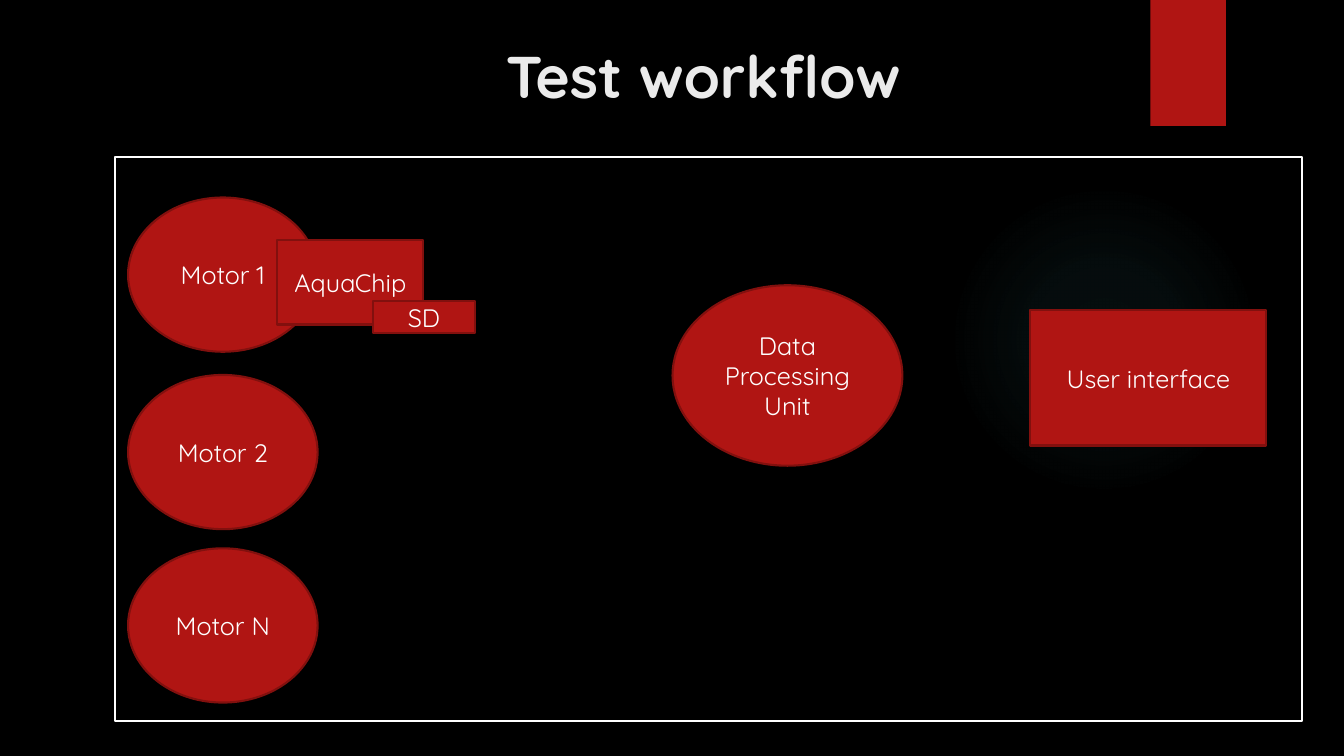
from dataclasses import dataclass

from pptx import Presentation
from pptx.dml.color import RGBColor as Rgb
from pptx.enum.shapes import MSO_SHAPE as Preset
from pptx.enum.text import MSO_ANCHOR as Anchor, PP_ALIGN as Align
from pptx.oxml import parse_xml
from pptx.oxml.ns import nsdecls, qn
from pptx.util import Inches, Pt


@dataclass(frozen=True)
class Theme:
    """Colours, type sizes and font of the slide."""
    background: str = "000000"
    accent: str = "B01513"
    edge: str = "82100E"
    frame: str = "FFFFFF"
    label: str = "FFFFFF"
    title: str = "EBEBEB"
    glow: str = "50B9C1"
    font: str = "Quicksand"
    title_size: float = 42
    label_size: float = 18
    line_width: float = 1.5


class WorkflowSlide:
    """Draws workflow elements on one slide in a given theme."""

    def __init__(self, deck, theme):
        """Add a blank slide with the theme's background."""
        self.theme = theme
        self.slide = deck.slides.add_slide(deck.slide_layouts[6])
        backdrop = self.slide.background.fill
        backdrop.solid()
        backdrop.fore_color.rgb = Rgb.from_string(theme.background)

    def block(self, preset, box, fill=None, line=None):
        """Add a preset shape with optional fill and outline."""
        block = self.slide.shapes.add_shape(preset, *map(Inches, box))
        block.shadow.inherit = False
        if fill:
            block.fill.solid()
            block.fill.fore_color.rgb = Rgb.from_string(fill)
        else:
            block.fill.background()
        if line:
            block.line.color.rgb = Rgb.from_string(line)
            block.line.width = Pt(self.theme.line_width)
        else:
            block.line.fill.background()
        return block

    def caption(self, holder, text, size, color, anchor, bold=False):
        """Put centred text into a shape or text box."""
        frame = holder.text_frame
        frame.word_wrap = True
        frame.vertical_anchor = anchor
        paragraph = frame.paragraphs[0]
        paragraph.alignment = Align.CENTER
        run = paragraph.add_run()
        run.text = text
        formats = {"name": self.theme.font, "size": Pt(size), "bold": bold}
        for attribute, value in formats.items():
            setattr(run.font, attribute, value)
        run.font.color.rgb = Rgb.from_string(color)

    def node(self, preset, box, text):
        """Add a labelled workflow node."""
        theme = self.theme
        node = self.block(preset, box, theme.accent, theme.edge)
        self.caption(node, text, theme.label_size, theme.label, Anchor.MIDDLE)

    def title(self, box, text):
        """Add the slide heading."""
        heading = self.slide.shapes.add_textbox(*map(Inches, box))
        self.caption(heading, text, self.theme.title_size, self.theme.title,
                     Anchor.TOP, bold=True)

    def glow(self, box, stops):
        """Add a circle that fades from its centre outwards."""
        circle = self.block(Preset.OVAL, box)
        steps = "".join(
            f'<a:gs pos="{position * 1000}"><a:srgbClr val="{self.theme.glow}">'
            f'<a:alpha val="{opacity * 1000}"/></a:srgbClr></a:gs>'
            for position, opacity in stops)
        gradient = parse_xml(
            f'<a:gradFill {nsdecls("a")}><a:gsLst>{steps}</a:gsLst>'
            '<a:path path="circle"><a:fillToRect l="50000" t="50000" '
            'r="50000" b="50000"/></a:path></a:gradFill>')
        properties = circle.element.spPr
        properties.replace(properties.find(qn("a:noFill")), gradient)


def main():
    """Build and save the workflow slide."""
    deck = Presentation()
    deck.slide_width, deck.slide_height = Inches(13.33), Inches(7.5)
    theme = Theme()
    workflow = WorkflowSlide(deck, theme)

    workflow.glow((9.41, 1.83, 3.08, 3.08), ((0, 7), (36, 6), (69, 0)))
    workflow.block(Preset.RECTANGLE, (11.41, 0, 0.75, 1.25), theme.accent)
    workflow.title((4.71, 0.34, 4.53, 1.02), "Test workflow")
    workflow.block(Preset.RECTANGLE, (1.14, 1.56, 11.77, 5.59), line=theme.frame)

    for motor, top in (("1", 1.96), ("2", 3.72), ("N", 5.44)):
        workflow.node(Preset.OVAL, (1.27, top, 1.88, 1.53), f"Motor {motor}")

    stages = (
        (Preset.RECTANGLE, (2.75, 2.38, 1.45, 0.84), "AquaChip"),
        (Preset.RECTANGLE, (3.7, 2.99, 1.01, 0.31), "SD"),
        (Preset.OVAL, (6.67, 2.83, 2.28, 1.79), "Data Processing Unit"),
        (Preset.RECTANGLE, (10.22, 3.08, 2.34, 1.34), "User interface"),
    )
    for preset, box, text in stages:
        workflow.node(preset, box, text)

    deck.save("out.pptx")


if __name__ == "__main__":
    main()
